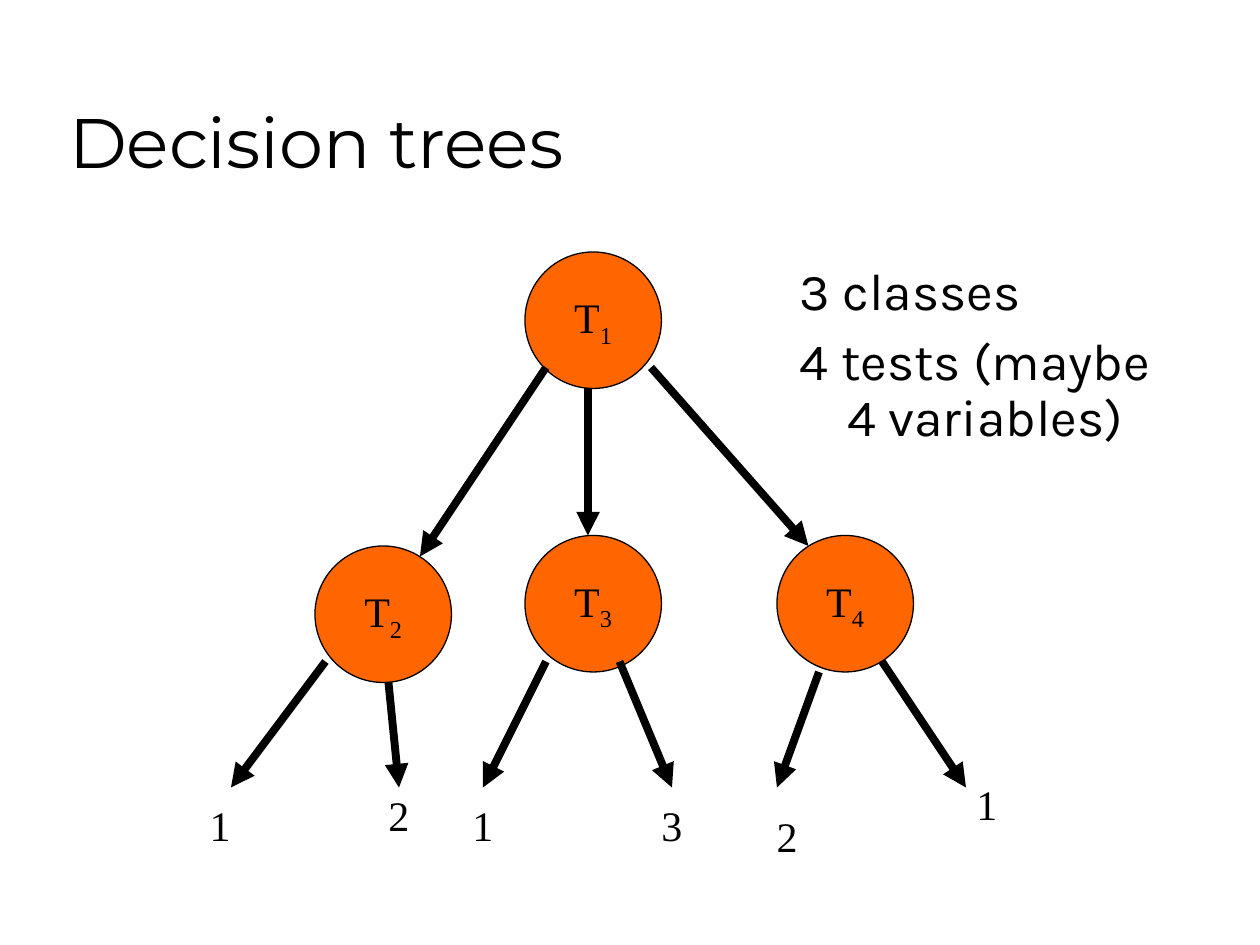
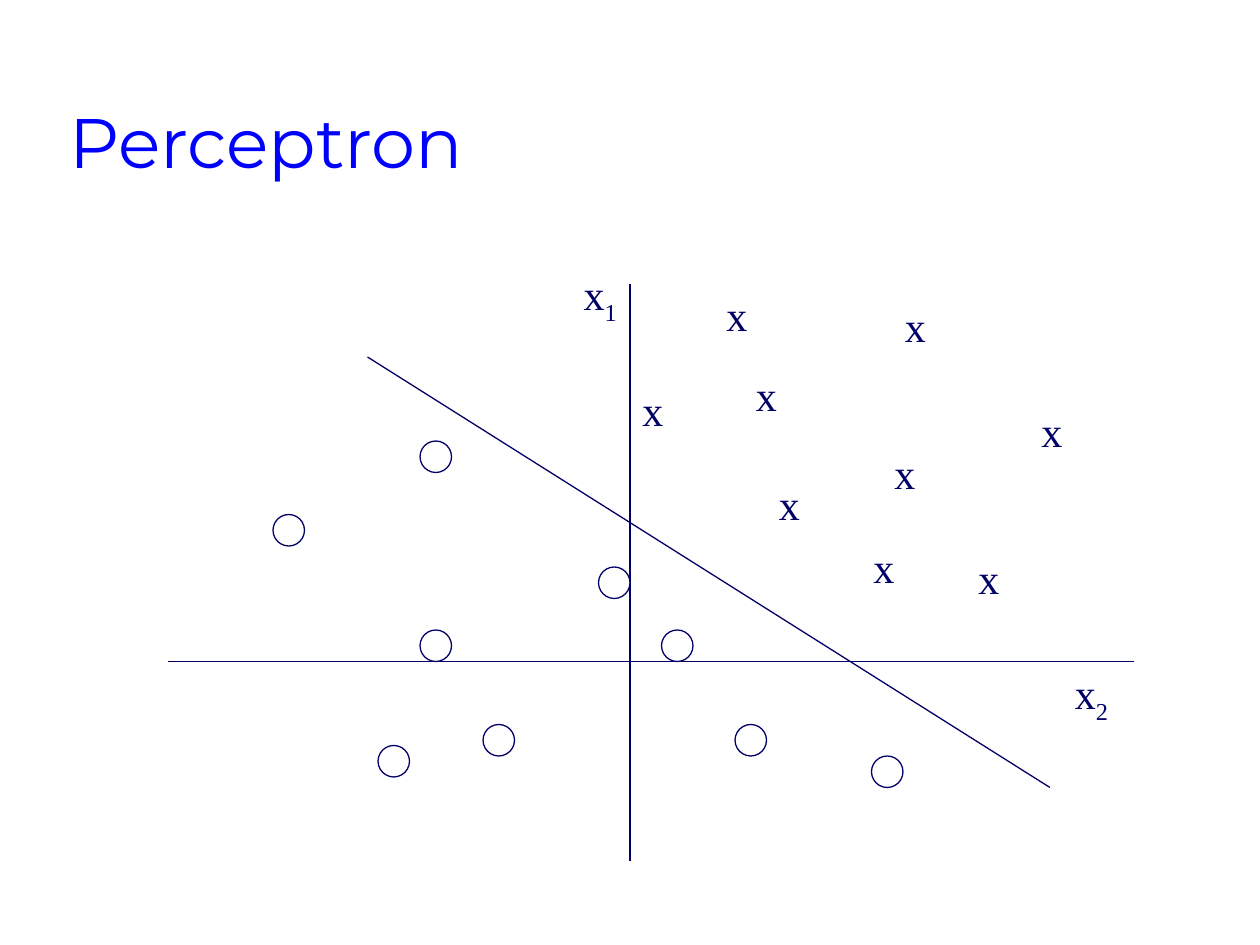
from dataclasses import dataclass
from typing import NamedTuple

from lxml.etree import SubElement
from pptx import Presentation
from pptx.dml.color import RGBColor as RGB
from pptx.enum.shapes import MSO_CONNECTOR as Line, MSO_SHAPE as Shape
from pptx.enum.text import MSO_ANCHOR as Anchor, MSO_AUTO_SIZE as Fit, PP_ALIGN as Align
from pptx.oxml.ns import qn
from pptx.util import Cm, Pt


@dataclass(frozen=True)
class Theme:
    black: RGB = RGB(0x00, 0x00, 0x00)
    white: RGB = RGB(0xFF, 0xFF, 0xFF)
    blue: RGB = RGB(0x00, 0x00, 0xFF)
    navy: RGB = RGB(0x00, 0x00, 0x66)
    orange: RGB = RGB(0xFF, 0x66, 0x00)
    title_font: str = "Montserrat"
    body_font: str = "Karla"
    label_font: str = "Times New Roman"
    title_size: float = 40
    body_size: float = 29.6
    label_size: float = 24
    thin: float = 0.75
    thick: float = 4.5


class Label(NamedTuple):
    text: str
    x: float
    y: float
    sub: str = ""


class Segment(NamedTuple):
    x1: float
    y1: float
    x2: float
    y2: float


THEME = Theme()
NODE_SIZE, POINT_SIZE = 13, 3

TESTS = [Label("T", 50, 24, "1"), Label("T", 50, 51, "3"),
         Label("T", 30, 52, "2"), Label("T", 74, 51, "4")]
BRANCHES = [Segment(52, 35, 40, 53), Segment(56, 37, 56, 51), Segment(62, 35, 77, 52),
            Segment(31, 63, 22, 75), Segment(37, 65, 38, 75), Segment(52, 63, 46, 75),
            Segment(59, 63, 64, 75), Segment(78, 64, 74, 75), Segment(84, 63, 92, 75)]
CLASSES = [Label("1", 18.8, 75.6), Label("2", 35.8, 74.6), Label("1", 43.8, 75.6),
           Label("3", 61.8, 75.6), Label("2", 72.8, 76.6), Label("1", 91.8, 73.6)]
FACTS = ["3 classes", "4 tests (maybe 4 variables)"]

AXES_AND_BOUNDARY = [Segment(60, 27, 60, 82), Segment(16, 63, 108, 63), Segment(35, 34, 100, 75)]
AXIS_NAMES = [Label("x", 54.4, 25, "1"), Label("x", 101.2, 63, "2")]
CROSSES = [(70.8, 34.6), (85, 28), (73, 45), (84, 42), (82, 51),
           (60, 36), (92, 52), (68, 27), (98, 38)]
CIRCLES = [(26, 49), (83, 72), (40, 60), (46, 69), (40, 42),
           (63, 60), (36, 71), (57, 54), (70, 69)]


def grid(n: float) -> Cm:
    """Return the length of n grid steps, twelve to the inch."""
    return Cm(n * 2.54 / 12)


def style(p, font: str, size: float, color: RGB) -> None:
    """Set the font of a whole paragraph."""
    p.font.name, p.font.size = font, Pt(size)
    p.font.color.rgb = color


def write_label(p, label: Label, color: RGB) -> None:
    """Write a label with its subscript, if any."""
    style(p, THEME.label_font, THEME.label_size, color)
    p.add_run().text = label.text
    if label.sub:
        r = p.add_run()
        r.text = label.sub
        r._r.get_or_add_rPr().set("baseline", "-25000")


def add_text(s, x: float, y: float, w: float, h: float, wrap: bool = True):
    """Add a text box on the grid and return its text frame."""
    tf = s.shapes.add_textbox(grid(x), grid(y), grid(w), grid(h)).text_frame
    tf.word_wrap = wrap
    return tf


def add_title(s, text: str, color: RGB) -> None:
    """Add the slide title."""
    tf = add_text(s, 5.4, 3, 102, 15)
    tf.vertical_anchor = Anchor.BOTTOM
    p = tf.paragraphs[0]
    p.text = text
    style(p, THEME.title_font, THEME.title_size, color)


def add_label(s, label: Label, color: RGB) -> None:
    """Add a free label that fits its text."""
    w, h = (6.2, 6.7) if label.sub else (4.3, 6)
    tf = add_text(s, label.x, label.y, w, h, wrap=False)
    tf.auto_size = Fit.SHAPE_TO_FIT_TEXT
    write_label(tf.paragraphs[0], label, color)


def add_circle(s, x: float, y: float, size: float, fill: RGB, line: RGB):
    """Add a thinly outlined circle and return it."""
    sp = s.shapes.add_shape(Shape.OVAL, grid(x), grid(y), grid(size), grid(size))
    sp.shadow.inherit = False
    sp.fill.solid()
    sp.fill.fore_color.rgb = fill
    sp.line.color.rgb = line
    sp.line.width = Pt(THEME.thin)
    return sp


def add_node(s, test: Label) -> None:
    """Add a test node of the tree."""
    tf = add_circle(s, test.x, test.y, NODE_SIZE, THEME.orange, THEME.black).text_frame
    tf.word_wrap = False
    tf.vertical_anchor = Anchor.MIDDLE
    p = tf.paragraphs[0]
    p.alignment = Align.CENTER
    write_label(p, test, THEME.black)


def add_line(s, seg: Segment, color: RGB, width: float, arrow: bool = False) -> None:
    """Add a straight line, with an arrowhead at its end on request."""
    sp = s.shapes.add_connector(Line.STRAIGHT, *map(grid, seg))
    sp.line.color.rgb = color
    sp.line.width = Pt(width)
    if arrow:
        SubElement(sp.line._get_or_add_ln(), qn("a:tailEnd"), type="triangle")
    SubElement(sp._element.spPr, qn("a:effectLst"))


def add_facts(s) -> None:
    """Add the remarks beside the tree."""
    tf = add_text(s, 75, 24.75, 38.3, 24.2)
    for i, fact in enumerate(FACTS):
        p = tf.add_paragraph() if i else tf.paragraphs[0]
        p.text = fact
        p.line_spacing, p.space_before = 0.9, Pt(8)
        style(p, THEME.body_font, THEME.body_size, THEME.black)
        pPr = p._p.get_or_add_pPr()
        pPr.set("marL", str(grid(4.5)))
        pPr.set("indent", str(-grid(4.5)))


def build_decision_trees(s) -> None:
    """Draw the decision tree slide."""
    add_title(s, "Decision trees", THEME.black)
    for test in TESTS:
        add_node(s, test)
    for branch in BRANCHES:
        add_line(s, branch, THEME.black, THEME.thick, arrow=True)
    for label in CLASSES:
        add_label(s, label, THEME.black)
    add_facts(s)


def build_perceptron(s) -> None:
    """Draw the perceptron slide."""
    add_title(s, "Perceptron", THEME.blue)
    for seg in AXES_AND_BOUNDARY:
        add_line(s, seg, THEME.navy, THEME.thin)
    for label in AXIS_NAMES + [Label("x", x, y) for x, y in CROSSES]:
        add_label(s, label, THEME.navy)
    for x, y in CIRCLES:
        add_circle(s, x, y, POINT_SIZE, THEME.white, THEME.navy)


def main() -> None:
    """Build and save the presentation."""
    prs = Presentation()
    prs.slide_width, prs.slide_height = Cm(25.4), Cm(19.05)
    for build in (build_decision_trees, build_perceptron):
        build(prs.slides.add_slide(prs.slide_layouts[6]))
    prs.save("out.pptx")


if __name__ == "__main__":
    main()
